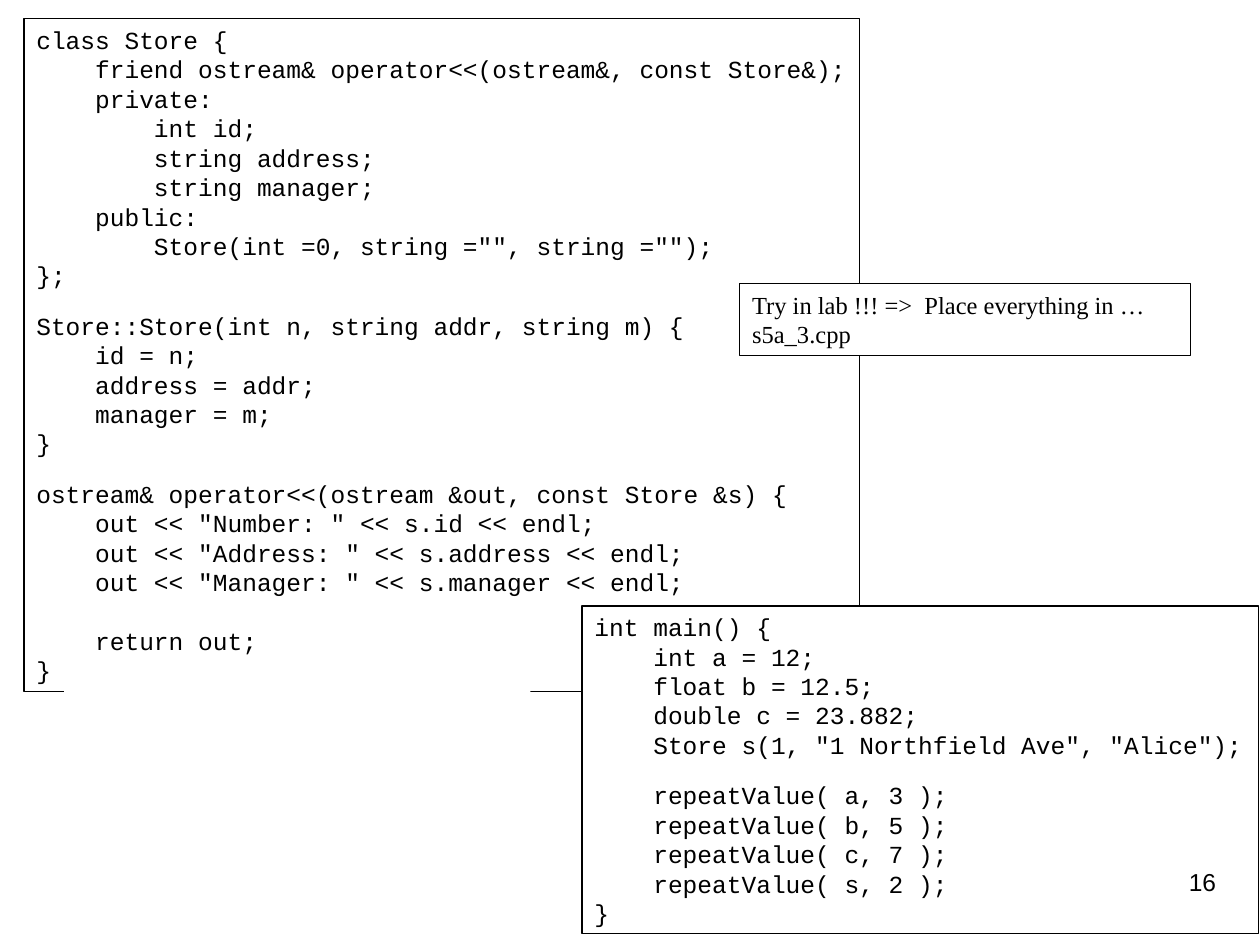
"""Build a slide with a C++ class listing, a main program and a lab note."""
from pptx import Presentation
from pptx.dml.color import RGBColor
from pptx.enum.text import MSO_ANCHOR, PP_ALIGN
from pptx.util import Inches, Pt

COLORS = {"ink": "000000", "paper": "FFFFFF"}
LINE_HEIGHT = 16.8

STORE_CODE = """class Store {
    friend ostream& operator<<(ostream&, const Store&);
    private:
        int id;
        string address;
        string manager;
    public:
        Store(int =0, string ="", string ="");
};
Store::Store(int n, string addr, string m) {
    id = n;
    address = addr;
    manager = m;
}
ostream& operator<<(ostream &out, const Store &s) {
    out << "Number: " << s.id << endl;
    out << "Address: " << s.address << endl;
    out << "Manager: " << s.manager << endl;
    return out;
}"""

MAIN_CODE = """int main() {
    int a = 12;
    float b = 12.5;
    double c = 23.882;
    Store s(1, "1 Northfield Ave", "Alice");
    repeatValue( a, 3 );
    repeatValue( b, 5 );
    repeatValue( c, 7 );
    repeatValue( s, 2 );
}"""

LAB_NOTE = """Try in lab !!! =>  Place everything in …
s5a_3.cpp"""

BOXES = [
    {"place": (0.19, 0.15, 6.63, 5.34), "text": STORE_CODE, "font": "Courier New",
     "gaps": {9: 12, 14: 12, 18: LINE_HEIGHT}, "filled": False, "right": 0},
    {"place": (4.62, 4.81, 5.37, 2.6), "text": MAIN_CODE, "font": "Courier New",
     "gaps": {5: 12}, "right": 0},
    {"place": (5.87, 2.25, 3.58, 0.57), "text": LAB_NOTE, "font": "Times New Roman"},
    {"place": (0.51, 5.32, 3.7, 2.1), "outlined": False},
    {"place": (7.67, 6.83, 2.08, 0.5), "text": "16", "font": "Arial",
     "align": PP_ALIGN.RIGHT, "filled": False, "outlined": False},
]


def color(name):
    return RGBColor.from_string(COLORS[name])


deck = Presentation()
deck.slide_width, deck.slide_height = Inches(10), Inches(7.5)
page = deck.slides.add_slide(deck.slide_layouts[6])

for item in BOXES:
    box = page.shapes.add_textbox(*map(Inches, item["place"]))
    if item.get("filled", True):
        box.fill.solid()
        box.fill.fore_color.rgb = color("paper")
    if item.get("outlined", True):
        box.line.color.rgb = color("ink")
        box.line.width = Pt(0.75)
    if "text" not in item:
        continue

    frame = box.text_frame
    frame.word_wrap = True
    frame.margin_right = Inches(item.get("right", 0.1))
    frame.vertical_anchor = MSO_ANCHOR.TOP
    frame.text = item["text"]
    for index, para in enumerate(frame.paragraphs):
        layout = {"alignment": item.get("align", PP_ALIGN.LEFT),
                  "line_spacing": Pt(LINE_HEIGHT),
                  "space_before": Pt(item.get("gaps", {}).get(index, 0))}
        for name, value in layout.items():
            setattr(para, name, value)
        for span in para.runs:
            for name, value in {"name": item["font"], "size": Pt(14)}.items():
                setattr(span.font, name, value)
            span.font.color.rgb = color("ink")

deck.save("out.pptx")
